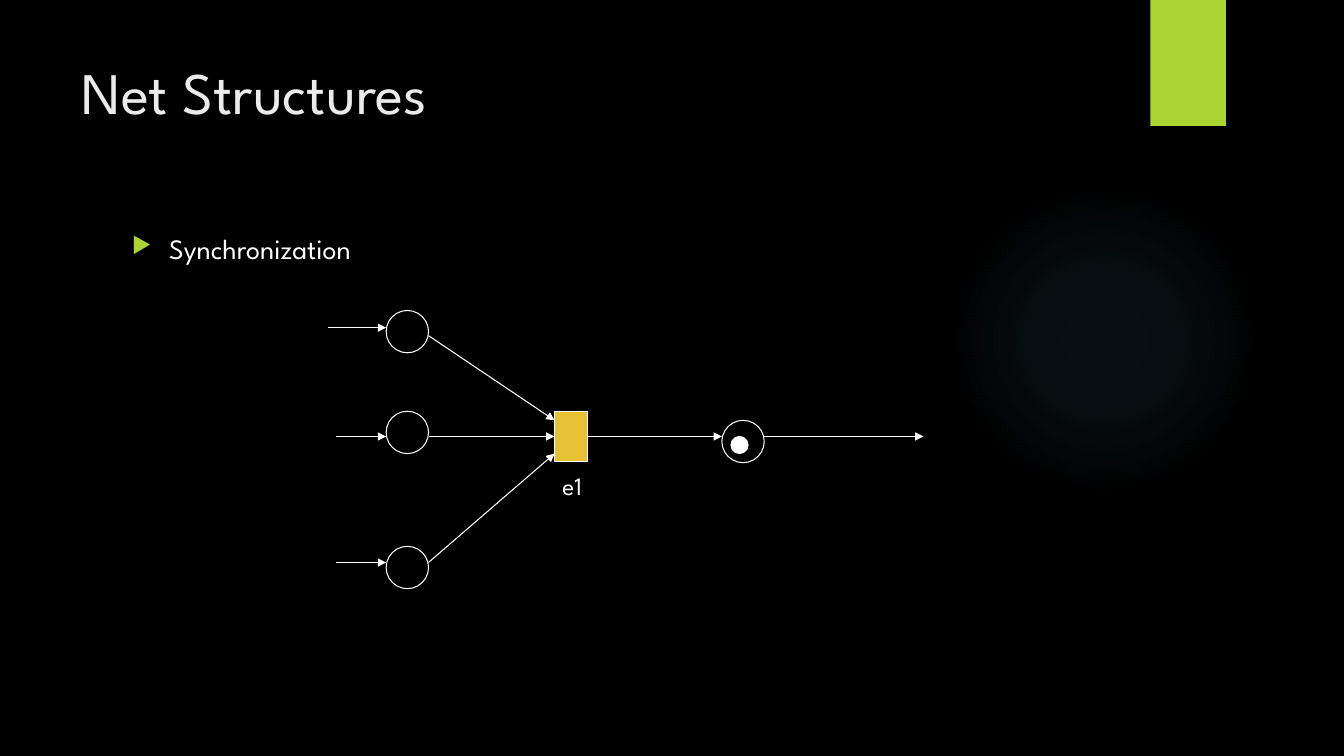
from lxml import etree
from pptx import Presentation
from pptx.dml.color import RGBColor
from pptx.enum import shapes, text
from pptx.oxml import parse_xml
from pptx.oxml.ns import qn
from pptx.util import Inches, Pt

FONT = "League Spartan"
WHITE, LIME, GOLD = "FFFFFF", "ACD433", "E6C133"
DRAWING = "http://schemas.openxmlformats.org/drawingml/2006/main"
OVAL, RECTANGLE = shapes.MSO_SHAPE.OVAL, shapes.MSO_SHAPE.RECTANGLE


def color(value):
    return RGBColor.from_string(value)


def add_figure(page, kind, box, fill=None, line=None):
    figure = page.shapes.add_shape(kind, *map(Inches, box))
    figure.shadow.inherit = False
    if fill:
        figure.fill.solid()
        figure.fill.fore_color.rgb = color(fill)
    else:
        figure.fill.background()
    if line:
        figure.line.color.rgb = color(line)
        figure.line.width = Pt(0.75)
    else:
        figure.line.fill.background()
    return figure


def add_arrow(page, start, end):
    arrow = page.shapes.add_connector(
        shapes.MSO_CONNECTOR.STRAIGHT, *map(Inches, (*start, *end)))
    arrow.line.color.rgb = color(WHITE)
    arrow.line.width = Pt(0.75)
    etree.SubElement(arrow.line._get_or_add_ln(), qn("a:tailEnd"), type="triangle")
    etree.SubElement(arrow._element.spPr, qn("a:effectLst"))


def add_text(page, box, words, size, fill, wrap=True):
    frame = page.shapes.add_textbox(*map(Inches, box)).text_frame
    frame.word_wrap = wrap
    frame.vertical_anchor = text.MSO_ANCHOR.TOP
    frame.text = words
    para = frame.paragraphs[0]
    span = para.runs[0]
    span.font.name = FONT
    span.font.size = Pt(size)
    span.font.color.rgb = color(fill)
    return para


def add_bullet(para, indent):
    properties = para._p.get_or_add_pPr()
    properties.set("marL", str(Inches(indent)))
    properties.set("indent", str(-Inches(indent)))
    bullet_color = etree.SubElement(properties, qn("a:buClr"))
    etree.SubElement(bullet_color, qn("a:srgbClr"), val=LIME)
    etree.SubElement(properties, qn("a:buSzPct"), val="80000")
    etree.SubElement(properties, qn("a:buChar"), char="▶")


def add_glow(page, box):
    """Add a faint blue disc that fades out towards its edge."""
    glow = add_figure(page, OVAL, box)
    stops = "".join(
        f'<a:gs pos="{place}000"><a:srgbClr val="7AC4F0">'
        f'<a:alpha val="{alpha}000"/></a:srgbClr></a:gs>'
        for place, alpha in ((0, 7), (36, 6), (69, 0), (100, 0)))
    gradient = parse_xml(
        f'<a:gradFill xmlns:a="{DRAWING}"><a:gsLst>{stops}</a:gsLst>'
        '<a:path path="circle"><a:fillToRect l="50000" t="50000" '
        'r="50000" b="50000"/></a:path></a:gradFill>')
    properties = glow._element.spPr
    properties.replace(properties.find(qn("a:noFill")), gradient)


def add_backdrop(page):
    page.background.fill.solid()
    page.background.fill.fore_color.rgb = color("000000")
    add_glow(page, (9.41, 1.83, 3.08, 3.08))
    add_figure(page, RECTANGLE, (11.41, 0, 0.75, 1.25), LIME)


def add_net(page, left, top):
    """Draw three places that meet in event e1, followed by a marked place."""
    place = 0.42
    event_left, event_top, event_width, event_height = left + 2.25, top + 1, 0.33, 0.5
    event_right = event_left + event_width
    output_left = left + 3.91
    axis = top + 1.25

    add_figure(page, RECTANGLE, (event_left, event_top, event_width, event_height),
               GOLD, WHITE)
    add_text(page, (event_left - 0.02, top + 1.54, 0.51, 0.4), "e1", 18, WHITE, wrap=False)

    # place top, arrow start x, arrow-in y, arrow-out y, y at the event
    inputs = ((0, 0, 0.17, 0.25, 1.09),
              (1, 0.08, 1.25, 1.25, 1.25),
              (2.34, 0.08, 2.5, 2.5, 1.42))
    place_left = left + 0.58
    for place_top, start, inflow, outflow, target in inputs:
        add_figure(page, OVAL, (place_left, top + place_top, place, place), line=WHITE)
        add_arrow(page, (left + start, top + inflow), (place_left, top + inflow))
        add_arrow(page, (place_left + place, top + outflow), (event_left, top + target))

    add_arrow(page, (event_right, axis), (output_left, axis))
    add_figure(page, OVAL, (output_left, top + 1.09, place, place), line=WHITE)
    add_figure(page, OVAL, (output_left + 0.09, axis, 0.17, 0.17), WHITE, WHITE)
    add_arrow(page, (output_left + place, axis), (output_left + 2, axis))


def main():
    deck = Presentation()
    deck.slide_width, deck.slide_height = Inches(13.33), Inches(7.5)
    page = deck.slides.add_slide(deck.slide_layouts[6])
    add_backdrop(page)
    add_text(page, (0.71, 0.5, 10.28, 1.53), "Net Structures", 42, "EBEBEB")
    topic = add_text(page, (1.21, 2.25, 9.78, 4.59), "Synchronization", 20, WHITE)
    add_bullet(topic, 0.37)
    add_net(page, 3.25, 3.08)
    deck.save("out.pptx")


if __name__ == "__main__":
    main()
